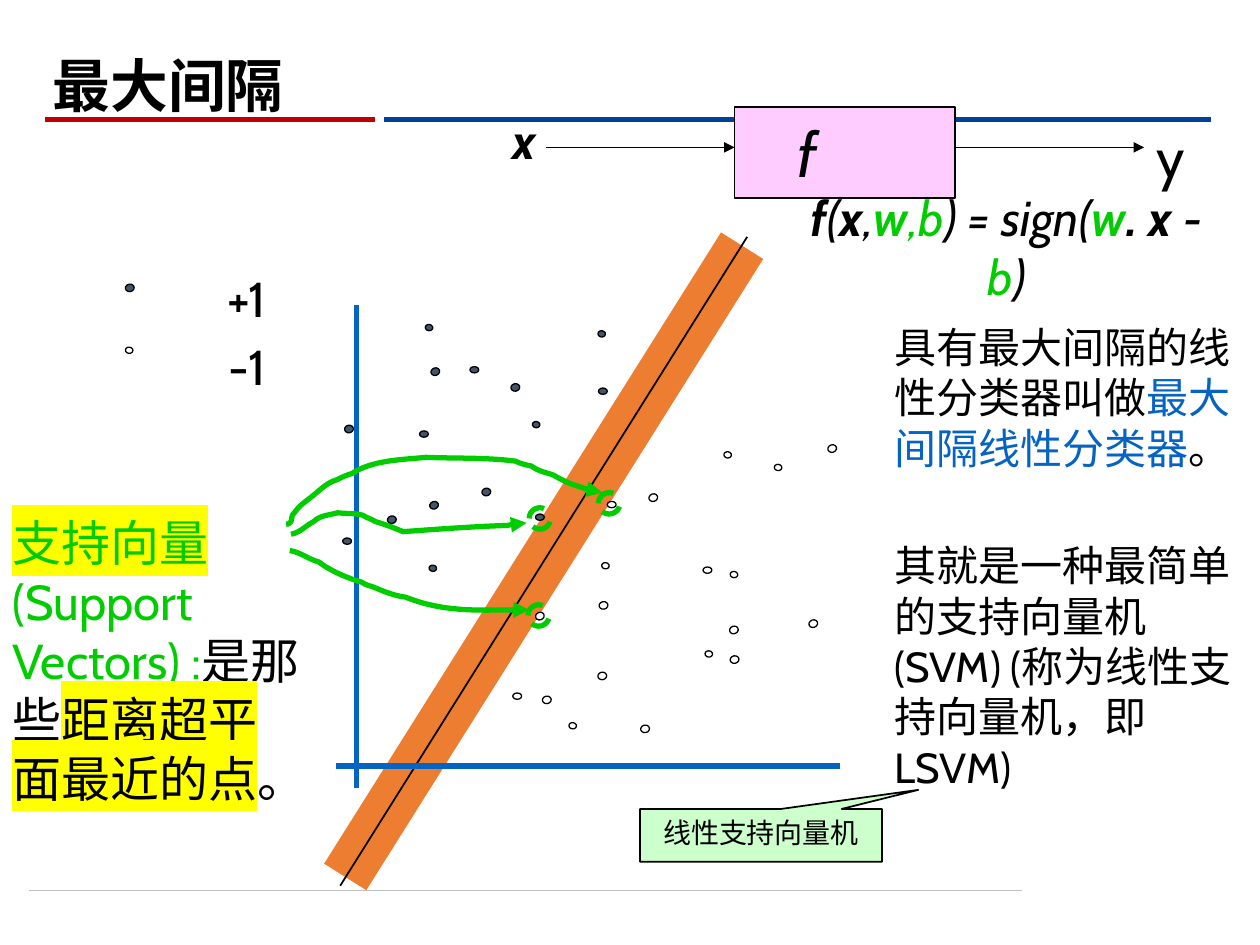
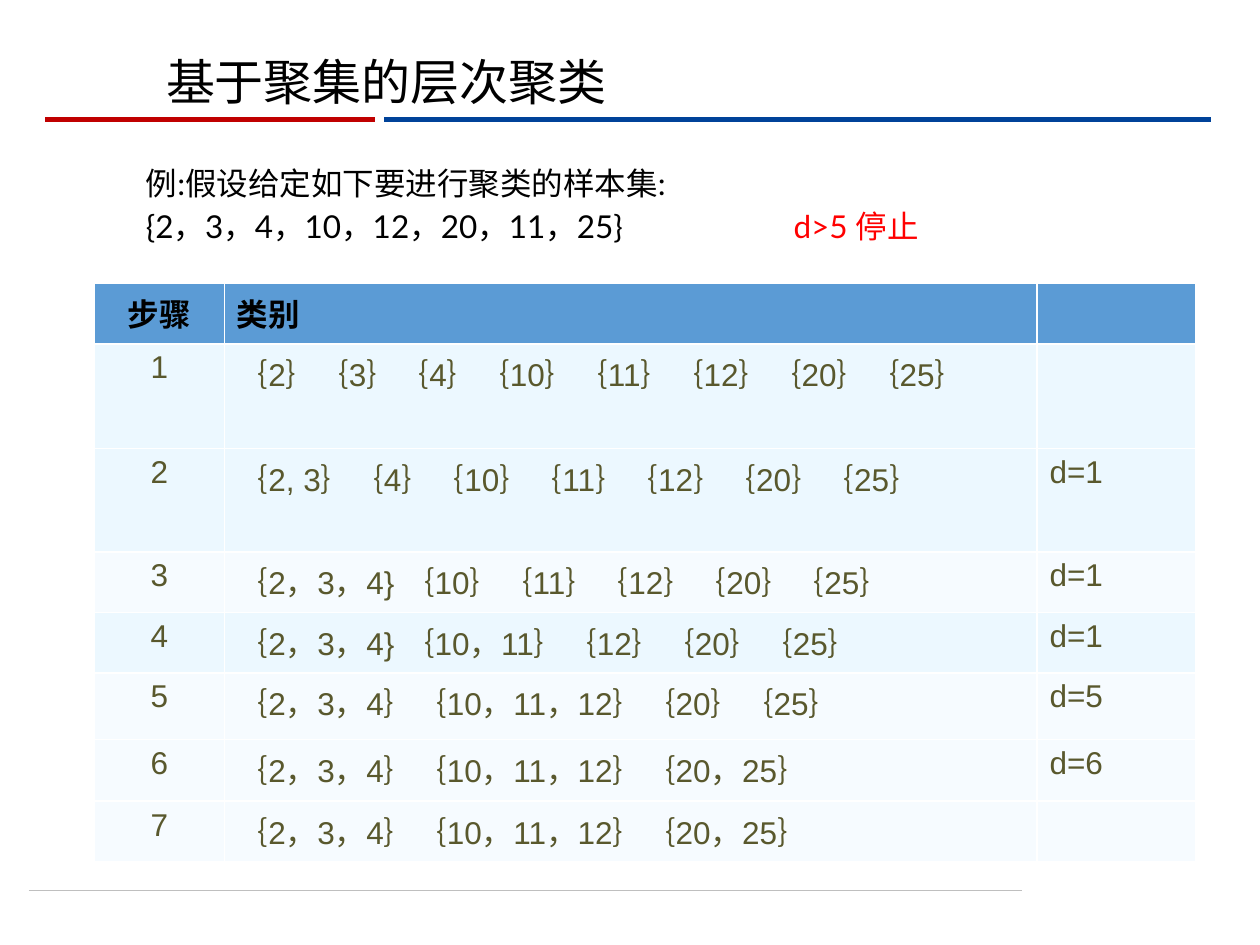
from dataclasses import dataclass
from typing import NamedTuple, Optional

from lxml.etree import SubElement
from pptx import Presentation
from pptx.dml.color import RGBColor
from pptx.enum.dml import MSO_LINE
from pptx.enum.shapes import MSO_CONNECTOR, MSO_SHAPE
from pptx.enum.text import MSO_ANCHOR, PP_ALIGN
from pptx.oxml.ns import qn
from pptx.util import Inches, Pt


@dataclass(frozen=True)
class Theme:
    black: str = "000000"
    white: str = "FFFFFF"
    red: str = "C00000"
    navy: str = "004299"
    footer_grey: str = "BFBFBF"
    blue: str = "0563C1"
    green: str = "00CC00"
    orange: str = "ED7D31"
    slate: str = "44546A"
    pink: str = "FFCCFF"
    mint: str = "CCFFCC"
    yellow: str = "FFFF00"
    stop_red: str = "FF0000"
    header_blue: str = "5B9BD5"
    row_dark: str = "ECF8FF"
    row_light: str = "F6FBFF"
    olive: str = "59582D"
    diagram_font: str = "Cabin"
    title_font: str = "Lato"
    table_font: str = "Arial"
    cjk_font: str = "Noto Sans CJK SC"
    function_size: int = 36
    title_size: int = 33
    output_size: int = 32
    large: int = 28
    body: int = 24
    small: int = 18
    callout: int = 16


THEME = Theme()


class Box(NamedTuple):
    left: float
    top: float
    width: float
    height: float

    def emu(self) -> list:
        return [Inches(value) for value in self]


class Run(NamedTuple):
    text: str
    color: Optional[str] = None
    bold: Optional[bool] = None
    highlight: Optional[str] = None


@dataclass(frozen=True)
class Para:
    runs: tuple
    size: int = THEME.large
    font: str = THEME.diagram_font
    color: str = THEME.black
    bold: bool = False
    italic: bool = False
    align: PP_ALIGN = PP_ALIGN.LEFT
    space_before: float = 0
    line_spacing: Optional[float] = None
    tab: Optional[float] = None


class DotGroup(NamedTuple):
    """Sample points that share one tilt and size."""
    rotation: float
    width: float
    height: float
    positive: tuple
    negative: tuple


DOT_GROUPS = (
    DotGroup(0, 0.07, 0.05,
             ((2.72, 4.27), (4.75, 3.08), (3.73, 2.91), (4.25, 4.08), (3.33, 3.42)),
             ((4.07, 5.5), (4.82, 3.98), (5.58, 4.5))),
    DotGroup(341.4, 0.07, 0.06,
             ((3.42, 2.92), (3.41, 3.98)),
             ((4.25, 4.86), (6.57, 3.53), (5.79, 4.97), (5.15, 3.92), (6.42, 4.92))),
    DotGroup(98.3, 0.05, 0.06,
             ((4.23, 3.34), (3.41, 4.48), (4.75, 2.62), (3.38, 2.57)),
             ((1, 2.75), (4.52, 5.73), (5.8, 4.53), (4.78, 4.46), (6.15, 3.68),
              (5.75, 3.58), (5.6, 5.16))),
    DotGroup(79.6, 0.06, 0.07,
             ((1, 2.25), (3.83, 3.87), (3.08, 4.09), (4.06, 3.04), (2.74, 3.37)),
             ((5.09, 5.75), (4.75, 5.33), (4.76, 4.77), (4.31, 5.52), (5.8, 5.2))),
)

# Each pointer is a start point followed by Bézier triples (control, control, end).
SUPPORT_POINTERS = (
    ((2.31, 4.24), (2.38, 4.23), (2.43, 4.17), (2.49, 4.14),
     (2.54, 4.09), (2.61, 4.09), (2.68, 4.07), (2.77, 4.08), (2.81, 4.07), (2.88, 4.09),
     (2.91, 4.11), (2.95, 4.12), (2.98, 4.14), (3.05, 4.16), (3.13, 4.19), (3.2, 4.22),
     (3.47, 4.2), (3.75, 4.18), (4.03, 4.17), (4.08, 4.16), (4.13, 4.15), (4.18, 4.15)),
    ((2.27, 4.16), (2.28, 4.16), (2.3, 4.16), (2.3, 4.15),
     (2.32, 4.14), (2.31, 4.11), (2.32, 4.09), (2.33, 4.07), (2.35, 4.06), (2.36, 4.04),
     (2.38, 4.01), (2.48, 3.94), (2.49, 3.93), (2.55, 3.88), (2.6, 3.83), (2.67, 3.81),
     (2.71, 3.79), (2.75, 3.77), (2.79, 3.76), (2.96, 3.65), (3.19, 3.65), (3.38, 3.63),
     (3.62, 3.64), (3.85, 3.63), (4.09, 3.66), (4.13, 3.68), (4.17, 3.69), (4.22, 3.7),
     (4.27, 3.74), (4.33, 3.75), (4.39, 3.77), (4.46, 3.81), (4.52, 3.84), (4.59, 3.86),
     (4.65, 3.88), (4.72, 3.91), (4.78, 3.91)),
    ((2.3, 4.37), (2.38, 4.38), (2.45, 4.44), (2.53, 4.46),
     (2.62, 4.53), (2.76, 4.59), (2.87, 4.62), (2.91, 4.65), (2.95, 4.65), (2.99, 4.67),
     (3.06, 4.7), (3.14, 4.73), (3.22, 4.74), (3.52, 4.86), (3.88, 4.84), (4.2, 4.84)),
)
SUPPORT_RINGS = ((4.75, 3.91), (4.2, 4.03), (4.19, 4.8))

CLUSTER_STEPS = (
    ("｛2｝｛3｝｛4｝｛10｝｛11｝｛12｝｛20｝｛25｝", "", THEME.row_dark),
    ("｛2, 3｝｛4｝｛10｝｛11｝｛12｝｛20｝｛25｝", "d=1", THEME.row_dark),
    ("｛2，3，4} ｛10｝｛11｝｛12｝｛20｝｛25｝", "d=1", THEME.row_light),
    ("｛2，3，4} ｛10，11｝｛12｝｛20｝｛25｝", "d=1", THEME.row_dark),
    ("｛2，3，4｝｛10，11，12｝｛20｝｛25｝", "d=5", THEME.row_light),
    ("｛2，3，4｝｛10，11，12｝｛20，25｝", "d=6", THEME.row_light),
    ("｛2，3，4｝｛10，11，12｝｛20，25｝", "", THEME.row_light),
)
STEP_COLUMN_WIDTHS = (1.03, 6.45, 1.26)
STEP_ROW_HEIGHTS = (0.48, 0.83, 0.82, 0.48, 0.48, 0.53, 0.49, 0.48)


def rgb(color: str) -> RGBColor:
    return RGBColor.from_string(color)


def write_paragraph(paragraph, para: Para) -> None:
    paragraph.alignment = para.align
    paragraph.space_before = Pt(para.space_before)
    if para.line_spacing:
        paragraph.line_spacing = para.line_spacing
    if para.tab:
        tabs = SubElement(paragraph._p.get_or_add_pPr(), qn("a:tabLst"))
        SubElement(tabs, qn("a:tab"), pos=str(Inches(para.tab)), algn="l")
    font = paragraph.font
    font.name, font.size = para.font, Pt(para.size)
    font.bold, font.italic = para.bold, para.italic
    font.color.rgb = rgb(para.color)
    for part in para.runs:
        run = paragraph.add_run()
        run.text = part.text
        if part.bold is not None:
            run.font.bold = part.bold
        if part.color:
            run.font.color.rgb = rgb(part.color)
        if part.highlight:
            mark = SubElement(run._r.get_or_add_rPr(), qn("a:highlight"))
            SubElement(mark, qn("a:srgbClr"), val=part.highlight)


def write_text(frame, *paras: Para, anchor=MSO_ANCHOR.TOP, wrap: bool = True) -> None:
    frame.word_wrap, frame.vertical_anchor = wrap, anchor
    for index, para in enumerate(paras):
        write_paragraph(frame.add_paragraph() if index else frame.paragraphs[0], para)


def add_text(slide, box: Box, *paras: Para, **layout) -> None:
    write_text(slide.shapes.add_textbox(*box.emu()).text_frame, *paras, **layout)


def style_line(line, color: str, width: float, arrow: bool = False) -> None:
    line.color.rgb, line.width = rgb(color), Pt(width)
    if arrow:
        SubElement(line._get_or_add_ln(), qn("a:tailEnd"), type="triangle")


def add_line(slide, start, end, color: str, width: float, arrow: bool = False) -> None:
    line = slide.shapes.add_connector(
        MSO_CONNECTOR.STRAIGHT, *(Inches(value) for value in (*start, *end)))
    style_line(line.line, color, width, arrow)
    SubElement(line._element.spPr, qn("a:effectLst"))


def add_shape(slide, preset, box: Box, fill: Optional[str], outline: str, width: float):
    shape = slide.shapes.add_shape(preset, *box.emu())
    shape.shadow.inherit = False
    if fill:
        shape.fill.solid()
        shape.fill.fore_color.rgb = rgb(fill)
    else:
        shape.fill.background()
    style_line(shape.line, outline, width)
    return shape


def add_dots(slide, group: DotGroup) -> None:
    for points, fill in ((group.positive, THEME.slate), (group.negative, THEME.white)):
        for left, top in points:
            dot = add_shape(slide, MSO_SHAPE.OVAL, Box(left, top, group.width, group.height),
                            fill, THEME.black, 0.75)
            dot.rotation = group.rotation


def add_pointer(slide, points: tuple) -> None:
    """Draw a chain of cubic curves that ends in an arrowhead."""
    path_points = [(Inches(x), Inches(y)) for x, y in points]
    builder = slide.shapes.build_freeform(*path_points[0])
    builder.add_line_segments(path_points[3::3], close=False)
    pointer = builder.convert_to_shape()
    segments = list(pointer._element.iter(qn("a:lnTo")))
    for index, segment in enumerate(segments):
        segment.tag = qn("a:cubicBezTo")
        segment.remove(segment[0])
        for x, y in path_points[3 * index + 1:3 * index + 4]:
            SubElement(segment, qn("a:pt"), x=str(x - pointer.left), y=str(y - pointer.top))
    pointer.shadow.inherit = False
    pointer.fill.background()
    style_line(pointer.line, THEME.green, 3, arrow=True)


def new_slide(deck):
    slide = deck.slides.add_slide(deck.slide_layouts[6])
    add_line(slide, (0.23, 7.07), (8.11, 7.07), THEME.footer_grey, 0.5)
    add_line(slide, (3.05, 0.95), (9.61, 0.95), THEME.navy, 3)
    add_line(slide, (0.36, 0.95), (2.98, 0.95), THEME.red, 3)
    return slide


def add_classifier_flow(slide) -> None:
    classifier = add_shape(slide, MSO_SHAPE.RECTANGLE, Box(5.83, 0.85, 1.75, 0.72),
                           THEME.pink, THEME.black, 1)
    classifier.text_frame.margin_left = Inches(0.5)
    write_text(classifier.text_frame, Para((Run("f"),), THEME.function_size, italic=True),
               anchor=MSO_ANCHOR.MIDDLE)
    for flow_start in (4.33, 7.58):
        add_line(slide, (flow_start, 1.17), (flow_start + 1.5, 1.17), THEME.black, 1,
                 arrow=True)
    add_text(slide, Box(3.83, 0.83, 0.67, 0.57),
             Para((Run("x"),), bold=True, italic=True, align=PP_ALIGN.CENTER))
    add_text(slide, Box(9.08, 0.92, 0.92, 0.63), Para((Run("y"),), THEME.output_size))
    formula = (Run("f", bold=True), Run("("), Run("x", bold=True), Run(","),
               Run("w", THEME.green, True), Run(",b", THEME.green), Run(") = sign("),
               Run("w", THEME.green, True), Run(". x ", bold=True), Run("- "),
               Run("b", THEME.green), Run(")"))
    add_text(slide, Box(6.24, 1.44, 3.5, 0.43),
             Para(formula, italic=True, align=PP_ALIGN.CENTER))


def build_margin_slide(deck) -> None:
    slide = new_slide(deck)
    add_line(slide, (2.74, 6.96), (5.89, 1.95), THEME.orange, 28.5)
    add_line(slide, (2.7, 7.03), (5.93, 1.88), THEME.black, 1)
    add_classifier_flow(slide)
    add_text(slide, Box(0.92, 2.08, 2.08, 0.93),
             Para((Run("+1"),), align=PP_ALIGN.CENTER),
             Para((Run("-1"),), align=PP_ALIGN.CENTER, space_before=5.6))
    add_line(slide, (2.83, 2.42), (2.83, 6.25), THEME.blue, 3)
    add_line(slide, (2.67, 6.08), (6.67, 6.08), THEME.blue, 3)
    for group in DOT_GROUPS:
        add_dots(slide, group)
    add_text(slide, Box(0, 4.02, 2.51, 1.43), Para((
        Run("支持向量", THEME.green, highlight=THEME.yellow),
        Run("(Support Vectors) :", THEME.green), Run("是那些"),
        Run("距离超平面最近的点", highlight=THEME.yellow), Run("。"))))
    for points in SUPPORT_POINTERS:
        add_pointer(slide, points)
    for left, top in SUPPORT_RINGS:
        ring = add_shape(slide, MSO_SHAPE.OVAL, Box(left, top, 0.17, 0.17),
                         None, THEME.green, 3)
        ring.line.dash_style = MSO_LINE.DASH
    add_text(slide, Box(7, 2.5, 3, 3.69),
             Para((Run("具有最大间隔的线性分类器叫做"),
                   Run("最大间隔线性分类器", THEME.blue), Run("。")), THEME.body),
             Para((Run("其就是一种最简单的支持向量机(SVM) (称为线性支持向量机，即LSVM)"),),
                  THEME.body, space_before=38.5))
    callout = add_shape(slide, MSO_SHAPE.RECTANGULAR_CALLOUT, Box(5.08, 6.42, 1.92, 0.42),
                        THEME.mint, THEME.black, 1)
    callout.adjustments[0], callout.adjustments[1] = 0.65, -0.86
    write_text(callout.text_frame,
               Para((Run("线性支持向量机"),), THEME.callout, align=PP_ALIGN.CENTER))
    add_text(slide, Box(0.32, 0.25, 5.08, 0.75),
             Para((Run("最大间隔"),), THEME.title_size, THEME.title_font, bold=True,
                  line_spacing=0.9), anchor=MSO_ANCHOR.BOTTOM)


def add_steps_table(slide) -> None:
    rows = [("步骤", "类别", "", THEME.header_blue)]
    rows += [(str(step), *row) for step, row in enumerate(CLUSTER_STEPS, 1)]
    box = Box(0.75, 2.25, sum(STEP_COLUMN_WIDTHS), sum(STEP_ROW_HEIGHTS))
    table = slide.shapes.add_table(len(rows), len(STEP_COLUMN_WIDTHS), *box.emu()).table
    for column, width in zip(table.columns, STEP_COLUMN_WIDTHS):
        column.width = Inches(width)
    for row, height in zip(table.rows, STEP_ROW_HEIGHTS):
        row.height = Inches(height)
    for row_index, (*texts, fill) in enumerate(rows):
        header = row_index == 0
        for column_index, text in enumerate(texts):
            cell = table.cell(row_index, column_index)
            cell.fill.solid()
            cell.fill.fore_color.rgb = rgb(fill)
            if text:
                write_paragraph(cell.text_frame.paragraphs[0], Para(
                    (Run(text),), THEME.small, THEME.table_font,
                    THEME.black if header else THEME.olive, bold=header,
                    align=PP_ALIGN.LEFT if column_index else PP_ALIGN.CENTER))


def build_clustering_slide(deck) -> None:
    slide = new_slide(deck)
    add_text(slide, Box(1.06, 1.31, 8.62, 0.88),
             Para((Run("例:假设给定如下要进行聚类的样本集:"),), THEME.small,
                  THEME.title_font, line_spacing=0.8),
             Para((Run("{2，3，4，10，12，20，11，25}\t"), Run("d>5 停止", THEME.stop_red)),
                  THEME.small, THEME.title_font, space_before=7.5, line_spacing=0.8, tab=5.14))
    add_steps_table(slide)
    add_text(slide, Box(1.22, 0.36, 3.7, 0.57),
             Para((Run("基于聚集的层次聚类"),), font=THEME.cjk_font), wrap=False)


def main() -> None:
    deck = Presentation()
    deck.slide_width, deck.slide_height = Inches(10), Inches(7.5)
    build_margin_slide(deck)
    build_clustering_slide(deck)
    deck.save("out.pptx")


if __name__ == "__main__":
    main()
